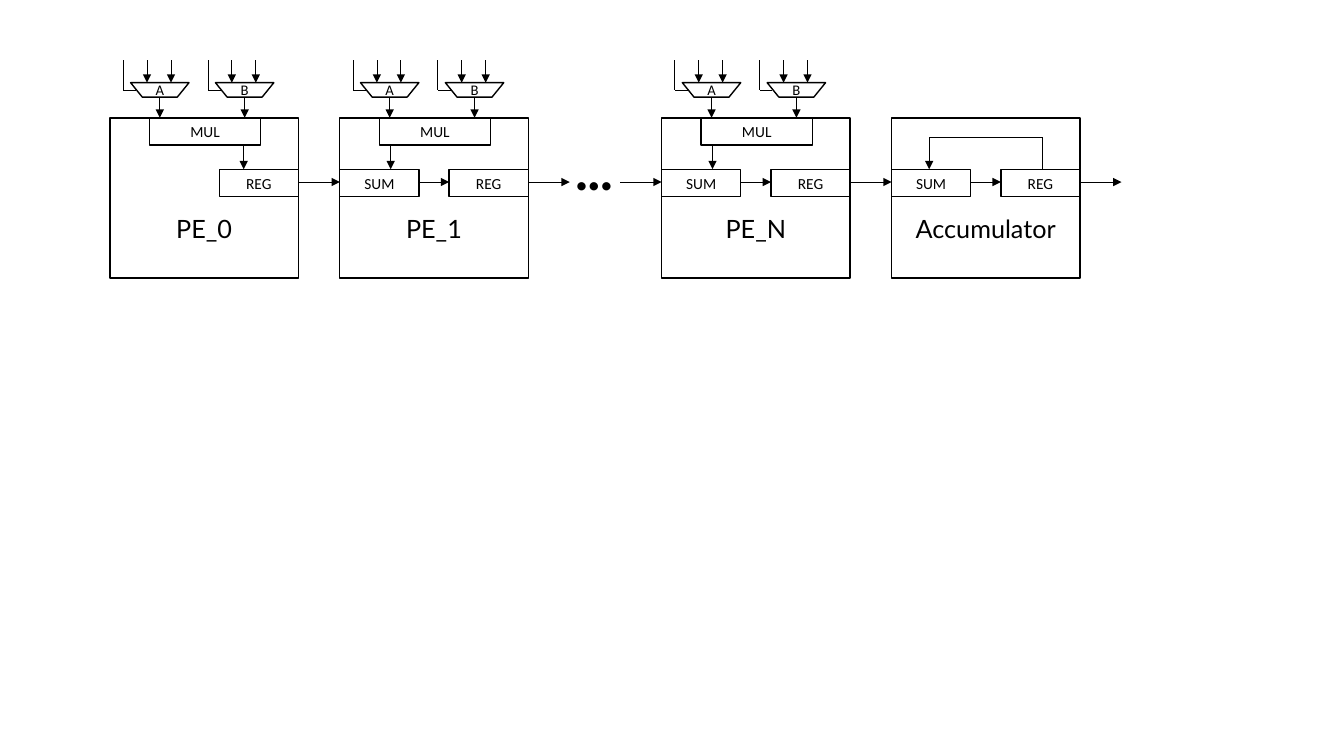
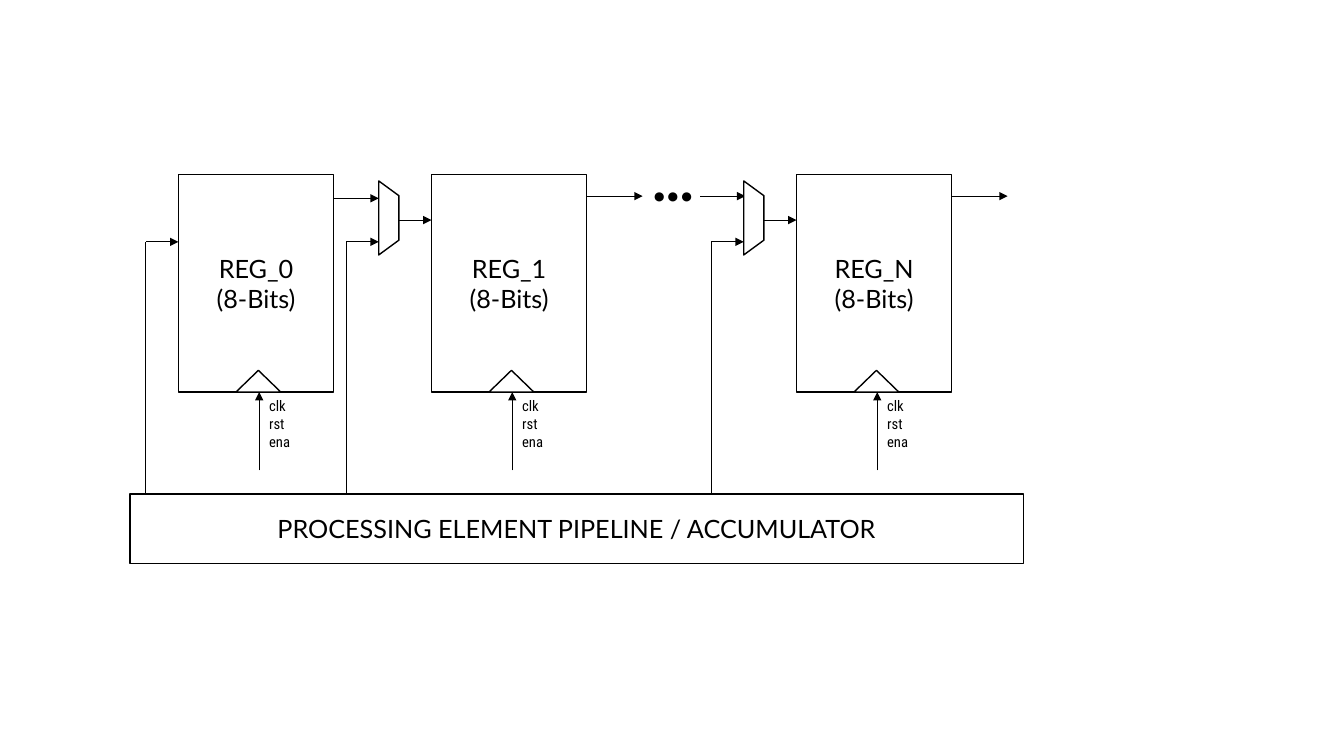
from dataclasses import dataclass
from itertools import pairwise

from lxml.etree import SubElement
from pptx import Presentation
from pptx.dml.color import RGBColor
from pptx.enum.shapes import MSO_CONNECTOR as Wire, MSO_SHAPE as Shape
from pptx.enum.text import MSO_ANCHOR as Anchor, PP_ALIGN as Align
from pptx.oxml.ns import qn
from pptx.util import Inches, Pt

COLORS = {"ink": "000000", "paper": "FFFFFF"}
TITLE, LABEL, NOTE = "Lato", "Calibri", "Roboto Condensed"


@dataclass
class Box:
    """A rectangle in inches whose areas are given as shares of its size."""
    left: float
    top: float
    width: float
    height: float

    def point(self, x, y):
        """Return the place at the given shares of the box."""
        return self.left + x * self.width, self.top + y * self.height

    def area(self, x, y, width, height):
        """Return a smaller box at the given shares."""
        return Box(*self.point(x, y), width * self.width, height * self.height)

    def turned(self):
        """Return the box with sides swapped around the same centre."""
        x, y = self.point(0.5, 0.5)
        return Box(x - self.height / 2, y - self.width / 2, self.height, self.width)

    def emu(self):
        """Return the four lengths for python-pptx."""
        return [Inches(v) for v in (self.left, self.top, self.width, self.height)]


def color(name):
    """Return a named colour."""
    return RGBColor.from_string(COLORS[name])


def write(shape, text, font, size, align=Align.CENTER, bold=False):
    """Fill a shape with text in one style."""
    shape.text_frame.text = text
    for para in shape.text_frame.paragraphs:
        para.alignment = align
        for span in para.runs:
            span.font.name, span.font.size = font, Pt(size)
            span.font.bold = bold
            span.font.color.rgb = color("ink")


def add_block(page, box, text="", font=LABEL, size=11, kind=Shape.RECTANGLE):
    """Add a white shape with a black outline and centred text."""
    shape = page.shapes.add_shape(kind, *box.emu())
    shape.shadow.inherit = False
    shape.fill.solid()
    shape.fill.fore_color.rgb = color("paper")
    shape.line.color.rgb = color("ink")
    shape.line.width = Pt(1)
    shape.text_frame.vertical_anchor = Anchor.MIDDLE
    if text:
        write(shape, text, font, size)
    return shape


def add_note(page, box, text, font, size, bold=False):
    """Add a left-aligned text box."""
    shape = page.shapes.add_textbox(*box.emu())
    shape.text_frame.word_wrap = True
    write(shape, text, font, size, Align.LEFT, bold)


def add_route(page, box, *stops, arrow=True):
    """Join the stops of a box with lines, ending in an arrowhead."""
    for start, end in pairwise(box.point(*stop) for stop in stops):
        line = page.shapes.add_connector(Wire.STRAIGHT, *map(Inches, start + end))
        line.line.color.rgb = color("ink")
        line.line.width = Pt(0.5)
        SubElement(line._element.spPr, qn("a:effectLst"))
    if arrow:
        SubElement(line._element.spPr.find(qn("a:ln")), qn("a:tailEnd"), type="triangle")


def add_input_mux(page, box, name):
    """Add a multiplexer with its two inputs, select line and output."""
    mux = add_block(page, box, name, LABEL, 10.5, Shape.FLOWCHART_MANUAL_OPERATION)
    frame = mux.text_frame
    frame.margin_left = frame.margin_right = frame.margin_top = frame.margin_bottom = 0
    frame.word_wrap = False
    for x in (0.28, 0.69):
        add_route(page, box, (x, -1.55), (x, 0))
    add_route(page, box, (0.5, 1), (0.5, 2.43))
    add_route(page, box, (0.09, 0.5), (-0.13, 0.5), (-0.13, -1.55), arrow=False)


def add_stage(page, box, label, has_sum=True):
    """Add a pipeline stage with its registers and outgoing arrow."""
    frame = add_block(page, box, label, TITLE, 18).text_frame
    frame.margin_top = Inches(0.41 * box.height)
    add_block(page, box.area(0.58, 0.32, 0.42, 0.17), "REG")
    if has_sum:
        add_block(page, box.area(0, 0.32, 0.42, 0.17), "SUM")
        add_route(page, box, (0.42, 0.4), (0.58, 0.4))
    add_route(page, box, (1, 0.4), (1.22, 0.4))


def add_element(page, box, label, has_sum=True):
    """Add a processing element: a stage fed by a multiplier."""
    add_stage(page, box, label, has_sum)
    for name, x in (("A", 0.11), ("B", 0.56)):
        add_input_mux(page, box.area(x, -0.22, 0.31, 0.09), name)
    add_block(page, box.area(0.21, 0, 0.59, 0.17), "MUL")
    drop = 0.27 if has_sum else 0.71
    add_route(page, box, (drop, 0.17), (drop, 0.32))


def add_register(page, box, label, out_row, out_length):
    """Add a register with its clock input and outgoing arrow."""
    add_block(page, box, f"{label}\n(8-Bits)", TITLE, 18)
    add_block(page, box.area(0.37, 0.9, 0.29, 0.1), kind=Shape.ISOSCELES_TRIANGLE)
    add_route(page, box, (0.52, 1.36), (0.52, 1))
    add_note(page, box.area(0.52, 1, 0.32, 0.36), "clk\nrst\nena", NOTE, 10.5)
    add_route(page, box, (1, out_row), (1 + out_length, out_row))


def add_feed(page, box, rise, end):
    """Add the line that climbs from the pipeline bar to a register input."""
    add_route(page, box, (rise, 1.47), (rise, 0.31), (end, 0.31))


def add_register_mux(page, box):
    """Add the sideways multiplexer before a register."""
    mux = add_block(page, box.area(-0.34, 0.03, 0.13, 0.34).turned(),
                    kind=Shape.FLOWCHART_MANUAL_OPERATION)
    mux.rotation = 270
    add_route(page, box, (-0.21, 0.21), (0, 0.21))
    add_feed(page, box, -0.55, -0.34)


def build_pipeline(page):
    """Draw the chain of processing elements and the accumulator."""
    first, second, last, total = (
        Box(1.09 + 2.28 * column, 1.17, 1.87, 1.59) for column in (0, 1, 2.4, 3.4))
    add_element(page, first, "PE_0", has_sum=False)
    add_element(page, second, "PE_1")
    add_note(page, second.area(1.19, 0.07, 0.36, 0.48), "…", LABEL, 40, bold=True)
    add_element(page, last, "PE_N")
    add_route(page, last, (-0.22, 0.4), (0, 0.4))
    add_stage(page, total, "Accumulator")
    add_route(page, total, (0.8, 0.32), (0.8, 0.12), (0.2, 0.12), (0.2, 0.32))


def build_registers(page):
    """Draw the register chain above the pipeline bar."""
    first, second, last = (Box(left, 1.73, 1.54, 2.16) for left in (1.77, 4.28, 7.9))
    add_register(page, first, "REG_0", 0.11, 0.29)
    add_feed(page, first, -0.21, 0)
    add_register(page, second, "REG_1", 0.1, 0.36)
    add_note(page, second.area(1.35, -0.18, 0.45, 0.48), "…", LABEL, 44, bold=True)
    add_register(page, last, "REG_N", 0.1, 0.36)
    add_route(page, last, (-0.62, 0.1), (-0.33, 0.1))
    for box in (second, last):
        add_register_mux(page, box)
    add_block(page, Box(1.29, 4.9, 8.86, 0.69),
              "PROCESSING ELEMENT PIPELINE / ACCUMULATOR", TITLE, 18)


def main():
    """Build and save the deck."""
    deck = Presentation()
    deck.slide_width, deck.slide_height = Inches(13.33), Inches(7.5)
    for build in (build_pipeline, build_registers):
        build(deck.slides.add_slide(deck.slide_layouts[6]))
    deck.save("out.pptx")


if __name__ == "__main__":
    main()
